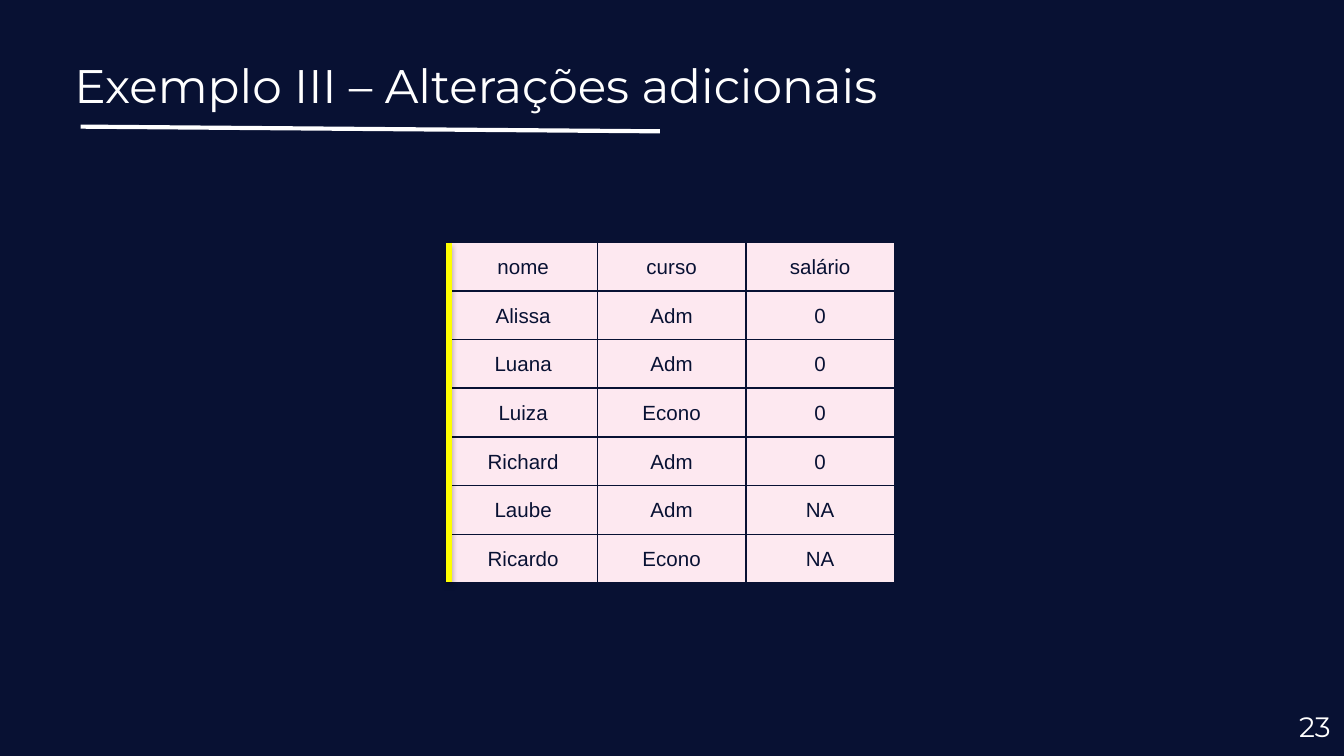
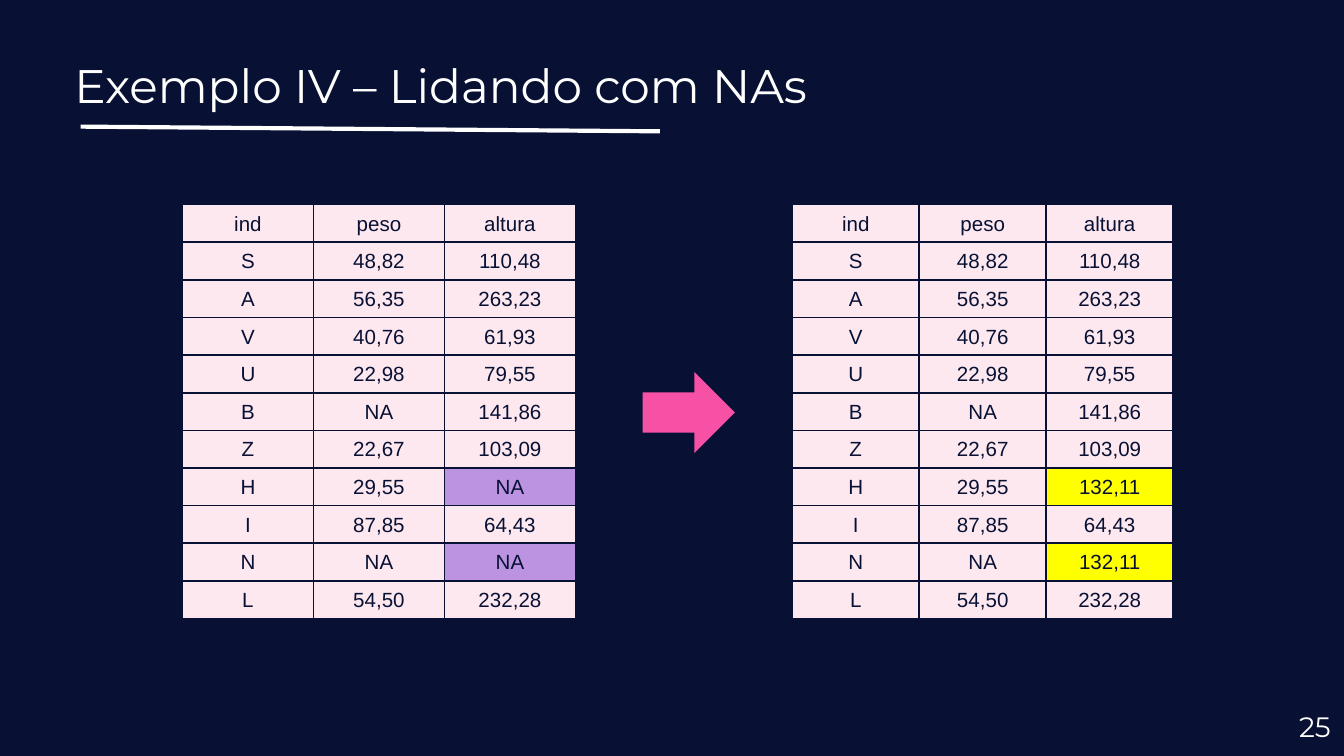
"""Builds two dark slides on table changes and missing values."""
from dataclasses import dataclass, field

from lxml.etree import SubElement
from pptx import Presentation
from pptx.dml.color import RGBColor
from pptx.enum.shapes import MSO_CONNECTOR as Connector, MSO_SHAPE as Shape
from pptx.enum.text import MSO_ANCHOR as Anchor, PP_ALIGN as Align
from pptx.oxml.ns import qn
from pptx.util import Emu, Pt

EMU_PER_PX = 2286
NAVY, WHITE, ROSE, PALE_ROSE = "081133", "FFFFFF", "FDE8F0", "FDE9F0"
YELLOW, PURPLE, PINK = "FFFF00", "BC93E1", "F751A5"
TITLE_FONT, TABLE_FONT = "Montserrat", "Arial"

STUDENTS = [
    ("nome", "curso", "salário"),
    ("Alissa", "Adm", "0"),
    ("Luana", "Adm", "0"),
    ("Luiza", "Econo", "0"),
    ("Richard", "Adm", "0"),
    ("Laube", "Adm", "NA"),
    ("Ricardo", "Econo", "NA"),
]
MEASURES = [
    ("ind", "peso", "altura"),
    ("S", "48,82", "110,48"),
    ("A", "56,35", "263,23"),
    ("V", "40,76", "61,93"),
    ("U", "22,98", "79,55"),
    ("B", "NA", "141,86"),
    ("Z", "22,67", "103,09"),
    ("H", "29,55", "NA"),
    ("I", "87,85", "64,43"),
    ("N", "NA", "NA"),
    ("L", "54,50", "232,28"),
]
MEAN_HEIGHT = "132,11"
FILLED_MEASURES = [
    (ind, peso, MEAN_HEIGHT if altura == "NA" else altura)
    for ind, peso, altura in MEASURES
]


@dataclass(frozen=True)
class TextBox:
    left: int
    top: int
    width: int
    height: int
    size: float
    align: Align = Align.LEFT
    anchor: Anchor = Anchor.TOP


@dataclass(frozen=True)
class Line:
    start: tuple[int, int]
    end: tuple[int, int]
    color: str
    weight: float
    shadow: bool = False


@dataclass(frozen=True)
class DataTable:
    left: int
    top: int
    column_width: int
    row_height: int
    rows: list[tuple[str, ...]]
    last_column_fills: dict[str, str] = field(default_factory=dict)


TITLE = TextBox(182, 128, 3728, 252, 25.2)
PAGE_NUMBER = TextBox(3760, 2077, 240, 172, 15, Align.RIGHT, Anchor.MIDDLE)
TITLE_RULE = Line((240, 377), (1964, 391), WHITE, 2.25)
STUDENT_EDGE = Line((1336, 724), (1336, 1732), YELLOW, 3, shadow=True)
STUDENT_TABLE = DataTable(1336, 721, 442, 145, STUDENTS, {"NA": PALE_ROSE})
BEFORE_TABLE = DataTable(543, 609, 390, 112, MEASURES, {"NA": PURPLE})
AFTER_TABLE = DataTable(2358, 609, 378, 112, FILLED_MEASURES, {MEAN_HEIGHT: YELLOW})


def px(value: int) -> Emu:
    return Emu(value * EMU_PER_PX)


def paint(fill, color: str) -> None:
    fill.solid()
    fill.fore_color.rgb = RGBColor.from_string(color)


def style_text(paragraph, font_name: str, size: float, color: str, align: Align) -> None:
    paragraph.alignment = align
    for run in paragraph.runs:
        run.font.name = font_name
        run.font.size = Pt(size)
        run.font.color.rgb = RGBColor.from_string(color)


def add_text(slide, box: TextBox, text: str) -> None:
    shape = slide.shapes.add_textbox(px(box.left), px(box.top), px(box.width), px(box.height))
    frame = shape.text_frame
    frame.text = text
    frame.word_wrap = True
    frame.vertical_anchor = box.anchor
    frame.margin_left = frame.margin_right = px(40)
    frame.margin_top = frame.margin_bottom = px(40)
    style_text(frame.paragraphs[0], TITLE_FONT, box.size, WHITE, box.align)


def add_line(slide, line: Line) -> None:
    connector = slide.shapes.add_connector(
        Connector.STRAIGHT, *(px(value) for value in line.start + line.end))
    connector.line.width = Pt(line.weight)
    paint(connector.line.fill, line.color)
    effects = SubElement(connector.element.spPr, qn("a:effectLst"))
    if line.shadow:
        shadow = SubElement(effects, qn("a:outerShdw"), blurRad=str(Pt(3.1)),
                            dist=str(Pt(1.8)), dir="5400000", rotWithShape="0")
        black = SubElement(shadow, qn("a:srgbClr"), val="000000")
        SubElement(black, qn("a:alpha"), val="35000")


def add_borders(cell, color: str) -> None:
    properties = cell._tc.get_or_add_tcPr()
    for side in ("lnL", "lnR", "lnT", "lnB"):
        border = SubElement(properties, qn(f"a:{side}"), w=str(Pt(1)))
        solid = SubElement(border, qn("a:solidFill"))
        SubElement(solid, qn("a:srgbClr"), val=color)


def fill_cell(cell, text: str, color: str) -> None:
    cell.text_frame.text = text
    cell.vertical_anchor = Anchor.MIDDLE
    cell.margin_left = cell.margin_right = cell.margin_top = px(4)
    cell.margin_bottom = 0
    add_borders(cell, NAVY)
    paint(cell.fill, color)
    style_text(cell.text_frame.paragraphs[0], TABLE_FONT, 11, NAVY, Align.CENTER)


def add_data_table(slide, data: DataTable) -> None:
    row_count, column_count = len(data.rows), len(data.rows[0])
    table = slide.shapes.add_table(
        row_count, column_count, px(data.left), px(data.top),
        px(data.column_width * column_count), px(data.row_height * row_count)).table
    table.first_row = table.horz_banding = False
    for row_index, row in enumerate(data.rows):
        for column_index, text in enumerate(row):
            is_last = column_index == column_count - 1
            color = data.last_column_fills.get(text, ROSE) if is_last else ROSE
            fill_cell(table.cell(row_index, column_index), text, color)


def add_arrow(slide) -> None:
    arrow = slide.shapes.add_shape(
        Shape.RIGHT_ARROW, px(1913), px(1108), px(274), px(240))
    arrow.shadow.inherit = False
    paint(arrow.fill, PINK)
    arrow.line.fill.background()


def add_base_slide(presentation, title: str, number: int):
    slide = presentation.slides.add_slide(presentation.slide_layouts[6])
    paint(slide.background.fill, NAVY)
    add_line(slide, TITLE_RULE)
    add_text(slide, TITLE, title)
    add_text(slide, PAGE_NUMBER, str(number))
    return slide


def main() -> None:
    presentation = Presentation()
    presentation.slide_width, presentation.slide_height = px(4000), px(2250)

    changes = add_base_slide(presentation, "Exemplo III – Alterações adicionais", 23)
    add_data_table(changes, STUDENT_TABLE)
    add_line(changes, STUDENT_EDGE)

    missing = add_base_slide(presentation, "Exemplo IV – Lidando com NAs", 25)
    add_data_table(missing, BEFORE_TABLE)
    add_data_table(missing, AFTER_TABLE)
    add_arrow(missing)

    presentation.save("out.pptx")


if __name__ == "__main__":
    main()
